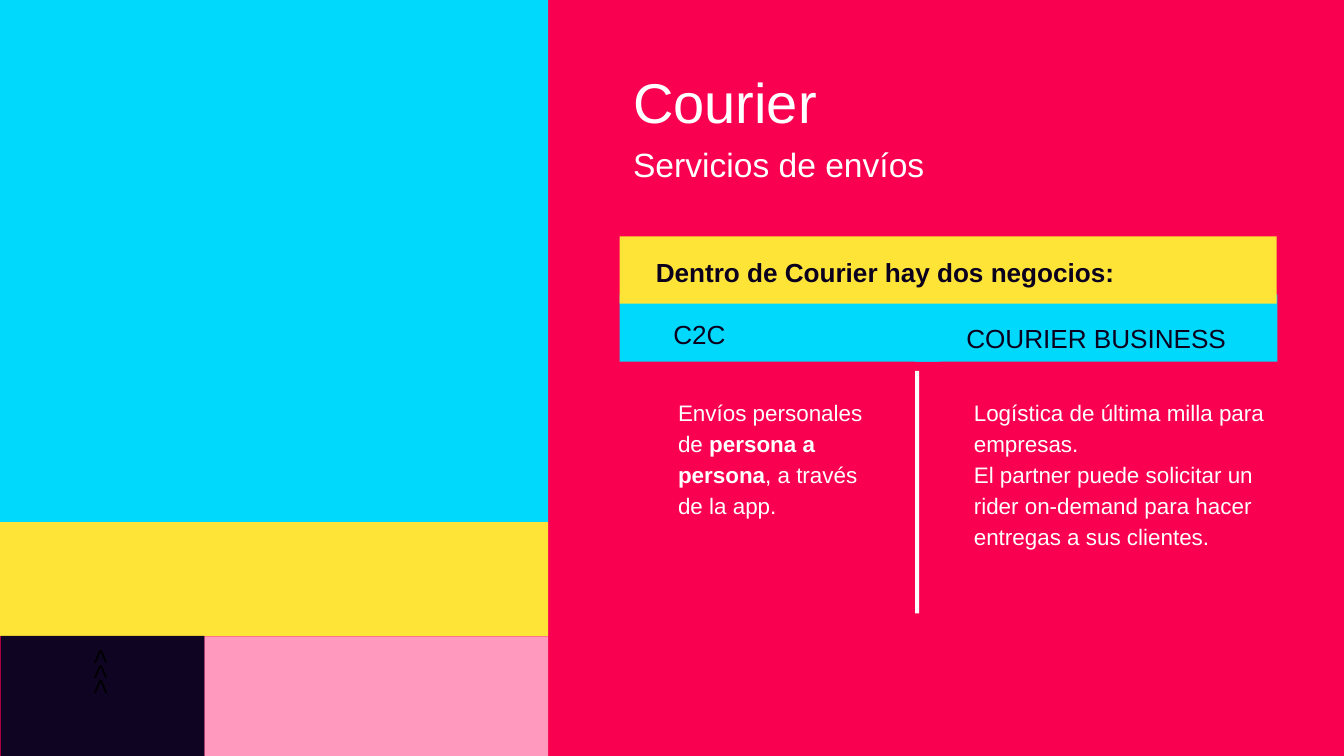
from dataclasses import dataclass

import pptx
import pptx.dml.color
import pptx.enum.shapes
import pptx.enum.text
import pptx.util
from pptx.util import Cm

RGB = pptx.dml.color.RGBColor.from_string
ALIGN = pptx.enum.text.PP_ALIGN


@dataclass(frozen=True)
class Theme:
    font: str = "Arial"
    red: str = "FA0050"
    pink: str = "FF99BE"
    yellow: str = "FFE438"
    cyan: str = "00D9FC"
    night: str = "100423"
    ink: str = "0A001E"
    black: str = "000000"
    white: str = "FFFFFF"
    title: int = 60
    subtitle: int = 36
    heading: int = 28
    body: int = 24
    spacing: float = 1.15
    inset: float = 0.51


THEME = Theme()


def add_block(slide, left, top, width, height, color, rotation=0):
    """Add a plain filled rectangle; lengths are in centimetres."""
    shape = slide.shapes.add_shape(
        pptx.enum.shapes.MSO_SHAPE.RECTANGLE,
        Cm(left), Cm(top), Cm(width), Cm(height))
    shape.shadow.inherit = False
    shape.fill.solid()
    shape.fill.fore_color.rgb = RGB(color)
    shape.line.fill.background()
    shape.rotation = rotation
    return shape


def write(shape, paragraphs, size, color, align=ALIGN.LEFT, bold=False,
          spacing=None):
    """Fill a shape with paragraphs, each a list of (text, bold) runs or a string."""
    frame = shape.text_frame
    frame.word_wrap = True
    frame.margin_left = frame.margin_right = Cm(THEME.inset)
    frame.margin_top = frame.margin_bottom = Cm(THEME.inset)
    for index, content in enumerate(paragraphs):
        paragraph = frame.paragraphs[0] if index == 0 else frame.add_paragraph()
        paragraph.alignment = align
        if spacing:
            paragraph.line_spacing = spacing
        paragraph.font.name = THEME.font
        paragraph.font.size = pptx.util.Pt(size)
        paragraph.font.color.rgb = RGB(color)
        runs = [(content, bold)] if isinstance(content, str) else content
        for text, is_bold in runs:
            run = paragraph.add_run()
            run.text = text
            run.font.bold = is_bold


def add_text(slide, left, top, width, height, paragraphs, size, color,
             spacing=THEME.spacing, **style):
    box = slide.shapes.add_textbox(Cm(left), Cm(top), Cm(width), Cm(height))
    write(box, paragraphs, size, color, spacing=spacing, **style)


def add_color_panel(slide):
    add_block(slide, 11.86, 19.91, 4.72, 13, THEME.pink, 90)
    add_block(slide, 8.15, 11.48, 4.34, 20.8, THEME.yellow, 90)
    add_block(slide, 0.46, -0.53, 19.76, 20.75, THEME.cyan, 90)
    arrows = add_block(slide, 1.5, 22.56, 4.75, 7.7, THEME.night, 90)
    arrows.text_frame.vertical_anchor = pptx.enum.text.MSO_ANCHOR.MIDDLE
    write(arrows, ["<<<"], THEME.heading, THEME.black)


def add_titles(slide, left):
    add_text(slide, left, 2.06, 13, 2.54, ["Courier"],
             THEME.title, THEME.white, spacing=None)
    add_text(slide, left, 4.7, 20.9, 1.78, ["Servicios de envíos"],
             THEME.subtitle, THEME.white)


def add_businesses(slide, left):
    band_height, column_top, divider_left = 2.54, 14.43, 34.59
    add_block(slide, divider_left, 11.13, 13.69, band_height, THEME.cyan)
    add_block(slide, left, 11.13, 12.12, band_height, THEME.cyan)
    add_text(slide, 24.94, 11.33, 3.38, 2.13, ["C2C"], THEME.heading, THEME.ink)
    add_text(slide, 34.75, 11.48, 13.36, 1.78, ["COURIER BUSINESS"],
             THEME.heading, THEME.ink, align=ALIGN.CENTER)

    add_text(slide, 25.12, column_top, 8.97, 5.49,
             [[("Envíos personales de ", False), ("persona a persona", True),
               (", a través de la app.", False)]],
             THEME.body, THEME.white)
    add_text(slide, 36.3, column_top, 12.12, 6.27,
             ["Logística de última milla para empresas.",
              "El partner puede solicitar un rider on-demand para hacer "
              "entregas a sus clientes."],
             THEME.body, THEME.white)

    add_block(slide, left, 8.94, 24.84, band_height, THEME.yellow)
    add_block(slide, divider_left, 14.02, 0.15, 9.17, THEME.white)
    add_text(slide, 24.28, 9.02, 19.66, 2.13,
             ["Dentro de Courier hay dos negocios:"],
             THEME.heading, THEME.ink, bold=True)


def main():
    presentation = pptx.Presentation()
    presentation.slide_width = Cm(50.8)
    presentation.slide_height = Cm(28.575)
    slide = presentation.slides.add_slide(presentation.slide_layouts[6])
    slide.background.fill.solid()
    slide.background.fill.fore_color.rgb = RGB(THEME.night)

    add_block(slide, 0, 0, 50.8, 28.58, THEME.red)
    add_color_panel(slide)
    content_left = 23.42
    add_titles(slide, content_left)
    add_businesses(slide, content_left)
    presentation.save("out.pptx")


if __name__ == "__main__":
    main()
